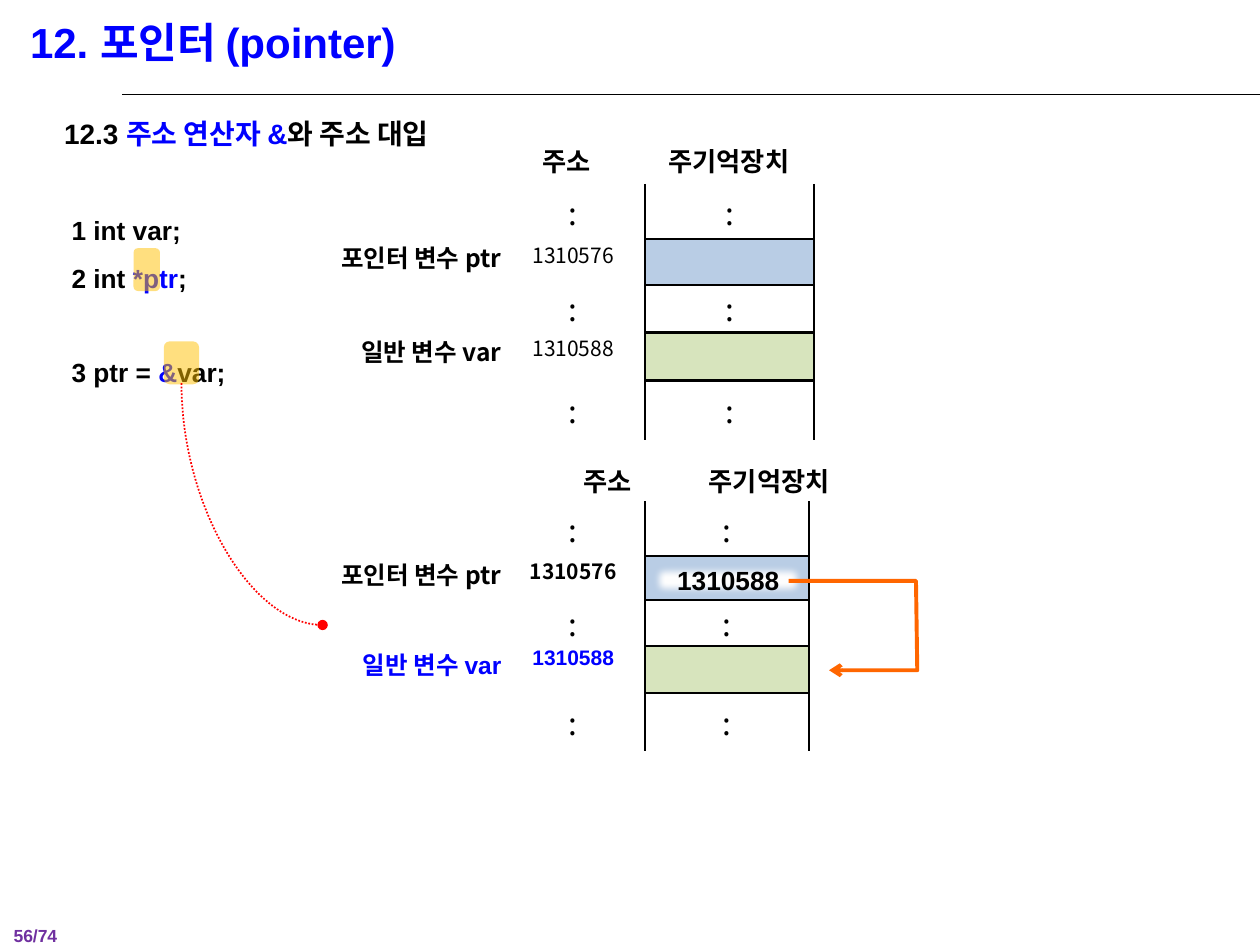
from dataclasses import dataclass

from lxml.etree import SubElement
from pptx import Presentation
from pptx.dml.color import RGBColor
from pptx.enum.dml import MSO_LINE
from pptx.enum.shapes import MSO_CONNECTOR, MSO_SHAPE
from pptx.enum.text import MSO_ANCHOR, PP_ALIGN
from pptx.oxml.ns import qn
from pptx.util import Inches, Pt


@dataclass(frozen=True)
class Theme:
    latin: str = "Arial"
    korean: str = "Noto Sans CJK KR"
    black: str = "000000"
    white: str = "FFFFFF"
    blue: str = "0000FF"
    purple: str = "7030A0"
    red: str = "FF0000"
    orange: str = "FF6600"
    highlight: str = "FFC000"
    pointer_cell: str = "B9CDE5"
    variable_cell: str = "D7E4BD"
    title: int = 24
    dots: int = 18
    heading: int = 16
    body: int = 15
    label: int = 14
    address: int = 12
    page: int = 10


THEME = Theme()


@dataclass(frozen=True)
class Run:
    text: str
    color: str = THEME.black
    size: int = THEME.body
    bold: bool = True
    font: str = THEME.latin


@dataclass(frozen=True)
class Line:
    runs: tuple[Run, ...]
    space_before: float = 0
    indent: float = 0


@dataclass(frozen=True)
class Box:
    left: float
    top: float
    width: float
    height: float

    def lengths(self) -> list[int]:
        return [Inches(value) for value in (self.left, self.top, self.width, self.height)]


@dataclass(frozen=True)
class MemoryTable:
    box: Box
    columns: tuple[float, ...]
    rows: tuple[float, ...]
    pointer: tuple[Run, Run]
    variable: tuple[Run, Run]
    heading_top: float
    heading_left: float


def write_run(paragraph, run: Run) -> None:
    """Add one formatted run to a paragraph."""
    text_run = paragraph.add_run()
    text_run.text = run.text
    formats = {"size": Pt(run.size), "bold": run.bold, "name": run.font}
    for name, value in formats.items():
        setattr(text_run.font, name, value)
    text_run.font.color.rgb = RGBColor.from_string(run.color)
    SubElement(text_run.font._element, qn("a:ea"), typeface=THEME.korean)


def add_text(slide, box: Box, lines: list[Line], align=PP_ALIGN.LEFT, spacing: float = 1.0) -> None:
    """Add a wrapping text box."""
    frame = slide.shapes.add_textbox(*box.lengths()).text_frame
    frame.word_wrap = True
    for index, line in enumerate(lines):
        paragraph = frame.add_paragraph() if index else frame.paragraphs[0]
        formats = {"alignment": align, "line_spacing": spacing}
        if line.space_before:
            formats["space_before"] = Pt(line.space_before)
        for name, value in formats.items():
            setattr(paragraph, name, value)
        if line.indent:
            paragraph._p.get_or_add_pPr().set("marL", str(Inches(line.indent)))
        for run in line.runs:
            write_run(paragraph, run)


def add_filled(slide, kind, box: Box, color: str):
    """Add a preset shape with a plain fill and no outline."""
    shape = slide.shapes.add_shape(kind, *box.lengths())
    shape.shadow.inherit = False
    shape.fill.solid()
    shape.fill.fore_color.rgb = RGBColor.from_string(color)
    shape.line.fill.background()
    return shape


def add_highlight(slide, box: Box) -> None:
    """Add a half-transparent marker over code."""
    shape = add_filled(slide, MSO_SHAPE.ROUNDED_RECTANGLE, box, THEME.highlight)
    color = shape._element.spPr.find(qn("a:solidFill"))[0]
    SubElement(color, qn("a:alpha"), val="50000")


def style_line(line, color: str, width: float, end: str = "") -> None:
    """Set the colour, width and end mark of a line."""
    line.color.rgb = RGBColor.from_string(color)
    line.width = Pt(width)
    if end:
        SubElement(line._get_or_add_ln(), qn("a:tailEnd"), type=end)


def add_line(slide, kind, begin: tuple[float, float], end: tuple[float, float]):
    """Add a connector without a shadow."""
    points = [Inches(value) for value in begin + end]
    connector = slide.shapes.add_connector(kind, *points)
    SubElement(connector._element.spPr, qn("a:effectLst"))
    return connector


def set_borders(cell, widths: dict[str, float]) -> None:
    """Draw black borders on the named sides, ahead of the cell fill."""
    properties = cell._tc.get_or_add_tcPr()
    sides = [side for side in ("L", "R", "T", "B") if side in widths]
    for position, side in enumerate(sides):
        border = SubElement(properties, qn(f"a:ln{side}"), w=str(Pt(widths[side])))
        fill = SubElement(border, qn("a:solidFill"))
        SubElement(fill, qn("a:srgbClr"), val=THEME.black)
        properties.insert(position, border)


def fill_cell(cell, run: Run | None, align, color: str, borders: dict[str, float], middle: bool) -> None:
    """Write, fill and outline one cell."""
    for side in ("left", "right", "top", "bottom"):
        setattr(cell, f"margin_{side}", 0)
    cell.vertical_anchor = MSO_ANCHOR.MIDDLE if middle else MSO_ANCHOR.TOP
    paragraph = cell.text_frame.paragraphs[0]
    paragraph.alignment = align
    if run:
        write_run(paragraph, run)
    if color:
        cell.fill.solid()
        cell.fill.fore_color.rgb = RGBColor.from_string(color)
    else:
        cell.fill.background()
    set_borders(cell, borders)


def add_memory(slide, memory: MemoryTable) -> None:
    """Add a memory diagram with its two column headings."""
    frame = slide.shapes.add_table(len(memory.rows), len(memory.columns), *memory.box.lengths())
    table = frame.table
    table.first_row = table.horz_banding = False
    table._tbl.tblPr.find(qn("a:tableStyleId")).text = "{2D5ABB26-0587-4C30-8999-92F81FD0307C}"
    for column, width in zip(table.columns, memory.columns):
        column.width = Inches(width)
    for row, height in zip(table.rows, memory.rows):
        row.height = Inches(height)
    dots = Run(":", size=THEME.dots, bold=False, font=THEME.korean)
    filled = {1: (memory.pointer, THEME.pointer_cell), 3: (memory.variable, THEME.variable_cell)}
    last = len(memory.rows) - 1
    for index in range(last + 1):
        middle = index in (0, last)
        if index in filled:
            (label, address), color = filled[index]
            content, edge, sides = None, 1.5, dict.fromkeys("LRTB", 1.5)
        else:
            label, address, content, color, edge = None, dots, dots, THEME.white, 1
            sides = {"L": 1, "R": 1}
            sides |= {"T": 1.5} if index else {}
            sides |= {"B": 1.5} if index < last else {}
        fill_cell(table.cell(index, 0), label, PP_ALIGN.RIGHT, "", {}, middle)
        fill_cell(table.cell(index, 1), address, PP_ALIGN.CENTER, "", {"R": edge}, middle)
        fill_cell(table.cell(index, 2), content, PP_ALIGN.CENTER, color, sides, middle)
    left, top = memory.heading_left, memory.heading_top
    add_text(slide, Box(left, top, 0.63, 0.35), [Line((Run("주소"),))])
    add_text(slide, Box(left + 0.79, top, 1.57, 0.35), [Line((Run("주기억장치"),))], PP_ALIGN.CENTER)


def add_pointer_value(slide) -> None:
    """Add the stored address and the arrow to the variable it points at."""
    shape = add_filled(slide, MSO_SHAPE.RECTANGLE, Box(5.15, 4.45, 1.26, 0.31), THEME.white)
    SubElement(shape._element.spPr.find(qn("a:effectLst")), qn("a:softEdge"), rad=str(Pt(5)))
    shape.text_frame.vertical_anchor = MSO_ANCHOR.MIDDLE
    paragraph = shape.text_frame.paragraphs[0]
    paragraph.alignment = PP_ALIGN.CENTER
    write_run(paragraph, Run("1310588"))
    builder = slide.shapes.build_freeform(Inches(6.26), Inches(4.61))
    corners = [(7.27, 4.61), (7.28, 5.32), (6.58, 5.32)]
    builder.add_line_segments([(Inches(x), Inches(y)) for x, y in corners], close=False)
    arrow = builder.convert_to_shape()
    arrow.shadow.inherit = False
    arrow.fill.background()
    style_line(arrow.line, THEME.orange, 2.25, "arrow")


def add_curve(slide) -> None:
    """Add the dotted curve from the address operator to the variable."""
    curve = add_line(slide, MSO_CONNECTOR.CURVE, (2.96, 3.44), (1.04, 4.56))
    properties = curve._element.spPr
    properties.find(qn("a:xfrm")).set("rot", str(270 * 60000))
    properties.find(qn("a:prstGeom")).set("prst", "curvedConnector2")
    curve.line.dash_style = MSO_LINE.ROUND_DOT
    style_line(curve.line, THEME.red, 1, "oval")


def main() -> None:
    """Build and save the slide."""
    presentation = Presentation()
    presentation.slide_width, presentation.slide_height = Inches(10), Inches(7.5)
    slide = presentation.slides.add_slide(presentation.slide_layouts[6])
    add_text(slide, Box(0.01, 7.21, 0.74, 0.27), [Line((Run("56/74", THEME.purple, THEME.page),))], spacing=1.5)
    rule = add_line(slide, MSO_CONNECTOR.STRAIGHT, (0.97, 0.75), (10, 0.75))
    style_line(rule.line, THEME.black, 0.75)
    heading = (("12.3 ", THEME.black), ("주소 연산자 &", THEME.blue), ("와 주소 대입", THEME.black))
    code = [
        Line((Run("1 int var;"),), 28, 0.06),
        Line((Run("2 int "), Run("*ptr", THEME.blue), Run(";")), 0, 0.06),
        Line((Run("3 ptr = "), Run("&", THEME.blue), Run("var;")), 27, 0.06),
    ]
    first = Line(tuple(Run(text, color, THEME.heading) for text, color in heading))
    add_text(slide, Box(0.41, 0.74, 6.71, 2.78), [first, *code], spacing=1.5)
    title = Run("12. 포인터 (pointer)", THEME.blue, THEME.title)
    add_text(slide, Box(0.14, 0.08, 9.27, 0.51), [Line((title,))])
    for box in (Box(1.06, 1.97, 0.21, 0.34), Box(1.3, 2.71, 0.28, 0.34)):
        add_highlight(slide, box)
    add_curve(slide)
    pointer = Run("포인터 변수 ptr", size=THEME.label, font=THEME.korean)
    variable = Run("일반 변수 var", size=THEME.label, font=THEME.korean)
    plain = {"size": THEME.address, "bold": False, "font": THEME.korean}
    after = MemoryTable(
        Box(2.56, 3.98, 3.86, 1.97), (1.42, 1.14, 1.3), (0.43, 0.35, 0.37, 0.37, 0.46),
        (pointer, Run("1310576", size=THEME.address, font=THEME.korean)),
        (Run("일반 변수 var", THEME.blue, THEME.label), Run("1310588", THEME.blue, THEME.address)),
        3.64, 4.53)
    before = MemoryTable(
        Box(2.56, 1.46, 3.9, 2.03), (1.42, 1.14, 1.34), (0.44, 0.36, 0.38, 0.38, 0.47),
        (pointer, Run("1310576", **plain)), (variable, Run("1310588", **plain)), 1.1, 4.21)
    for memory in (after, before):
        add_memory(slide, memory)
    add_pointer_value(slide)
    presentation.save("out.pptx")


if __name__ == "__main__":
    main()
